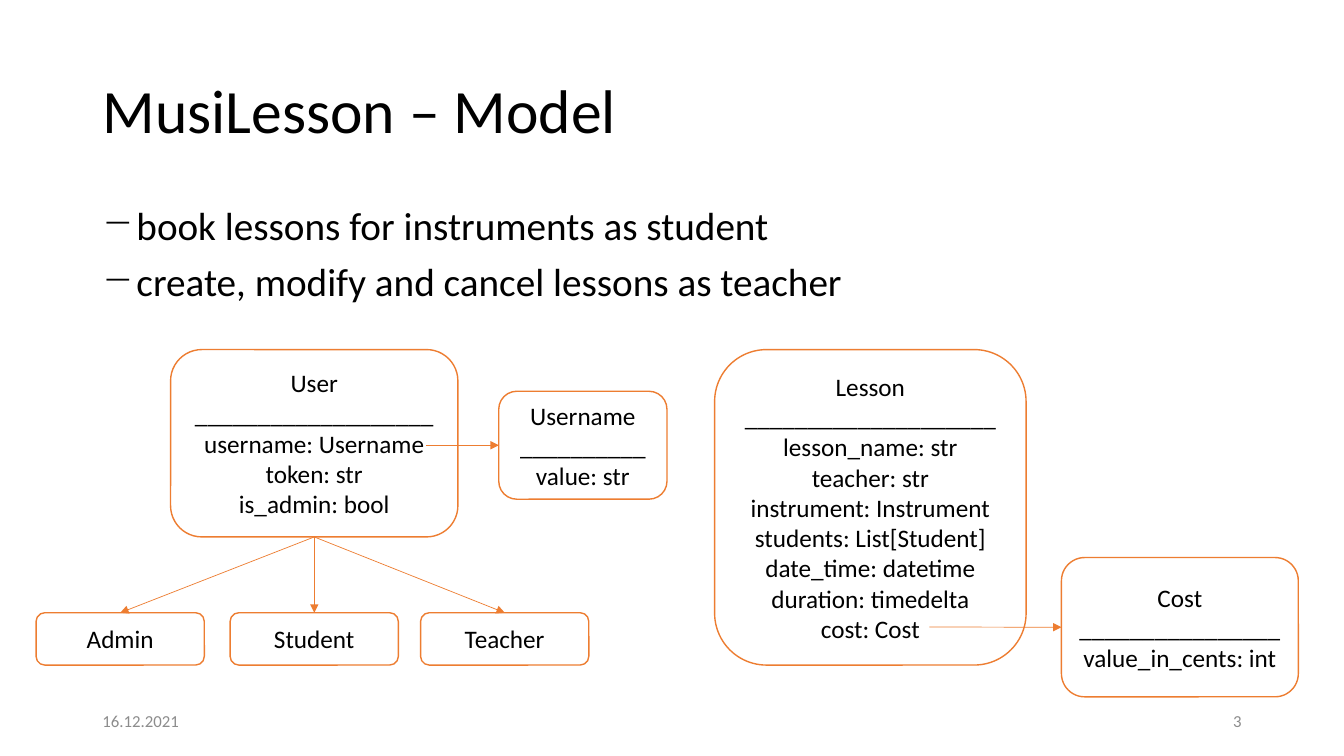
from dataclasses import dataclass

from lxml import etree
from pptx import Presentation
from pptx.dml.color import RGBColor
from pptx.enum.shapes import MSO_CONNECTOR, MSO_SHAPE
from pptx.enum.text import MSO_ANCHOR, PP_ALIGN
from pptx.oxml.ns import qn
from pptx.util import Cm, Pt

ROUND = MSO_SHAPE.ROUNDED_RECTANGLE
LINE = MSO_CONNECTOR.STRAIGHT
MID, TOP = MSO_ANCHOR.MIDDLE, MSO_ANCHOR.TOP
LEFT, MIDDLE, RIGHT = PP_ALIGN.LEFT, PP_ALIGN.CENTER, PP_ALIGN.RIGHT
NORTH, WEST, SOUTH = 0, 1, 2


@dataclass(frozen=True)
class Theme:
    font: str = "Calibri"
    ink: str = "000000"
    paper: str = "FFFFFF"
    edge: str = "ED7D31"
    muted: str = "8C8C8C"
    title: int = 44
    body: int = 28
    label: int = 18
    foot: int = 12


THEME = Theme()


def rgb(code):
    return RGBColor.from_string(code)


def assign(item, values):
    for name, value in values.items():
        setattr(item, name, value)


def write(frame, lines, size, color=THEME.ink, anchor=MID, **form):
    """Fill a text frame, one paragraph a line; form holds paragraph values."""
    assign(frame, {"word_wrap": True, "vertical_anchor": anchor})
    frame.text = "\n".join(lines)
    for para in frame.paragraphs:
        assign(para, form)
        assign(para.font, {"name": THEME.font, "size": Pt(size)})
        para.font.color.rgb = rgb(color)


def add_title(slide, text):
    title = slide.shapes.title
    assign(title, {"left": Cm(2.33), "top": Cm(1.02),
                   "width": Cm(29.21), "height": Cm(3.68)})
    write(title.text_frame, [text], THEME.title,
          alignment=LEFT, line_spacing=0.9)


def add_text(slide, area, lines, size, **form):
    box = slide.shapes.add_textbox(*map(Cm, area))
    write(box.text_frame, lines, size, **form)
    return box


def add_list(slide, area, lines):
    box = add_text(slide, area, lines, THEME.body, anchor=TOP,
                   line_spacing=0.9, space_before=Pt(10))
    for para in box.text_frame.paragraphs:
        props = para._p.get_or_add_pPr()
        props.set("marL", str(Cm(0.86)))
        props.set("indent", str(Cm(-0.86)))
        etree.SubElement(props, qn("a:buChar")).set("char", "−")


def add_card(slide, area, lines):
    card = slide.shapes.add_shape(ROUND, *map(Cm, area))
    card.shadow.inherit = False
    card.fill.solid()
    card.fill.fore_color.rgb = rgb(THEME.paper)
    card.line.color.rgb = rgb(THEME.edge)
    card.line.width = Pt(1)
    write(card.text_frame, lines, THEME.label, alignment=MIDDLE)
    return card


def add_class(slide, area, name, rule, fields):
    """Draw a class card: name, a rule of underscores, then fields."""
    return add_card(slide, area, [name, "_" * rule, *fields])


def add_arrow(slide, start, goal, side):
    """Point at a side of goal, from a card's south side or an (x, y) pair."""
    free = isinstance(start, tuple)
    x, y = map(Cm, start) if free else (0, 0)
    arrow = slide.shapes.add_connector(LINE, x, y, x, y)
    if not free:
        arrow.begin_connect(start, SOUTH)
    arrow.end_connect(goal, side)
    arrow.line.color.rgb = rgb(THEME.edge)
    arrow.line.width = Pt(0.5)
    head = etree.SubElement(arrow.line._get_or_add_ln(), qn("a:tailEnd"))
    head.set("type", "triangle")
    etree.SubElement(arrow._element.spPr, qn("a:effectLst"))


def main():
    deck = Presentation()
    assign(deck, {"slide_width": Cm(33.87), "slide_height": Cm(19.05)})
    slide = deck.slides.add_slide(deck.slide_layouts[5])

    add_title(slide, "MusiLesson – Model")
    add_list(slide, (2.33, 5.08, 29.21, 12.09), [
        "book lessons for instruments as student",
        "create, modify and cancel lessons as teacher",
    ])

    user = add_class(slide, (4.3, 8.81, 7.24, 4.72), "User", 19, [
        "username: Username", "token: str", "is_admin: bool"])
    roles = [add_card(slide, (x, 15.44, 4.24, 1.32), [name])
             for x, name in ((0.91, "Admin"), (5.8, "Student"),
                             (10.6, "Teacher"))]
    add_class(slide, (18.01, 8.81, 7.85, 7.95), "Lesson", 20, [
        "lesson_name: str", "teacher: str", "instrument: Instrument",
        "students: List[Student]", "date_time: datetime",
        "duration: timedelta", "cost: Cost"])
    handle = add_class(slide, (12.57, 9.86, 4.24, 2.72), "Username", 10,
                       ["value: str"])
    cost = add_class(slide, (26.75, 14.05, 5.97, 3.51), "Cost", 16,
                     ["value_in_cents: int"])

    add_arrow(slide, (10.74, 11.22), handle, WEST)
    for role in roles:
        add_arrow(slide, user, role, NORTH)
    add_arrow(slide, (23.42, 15.8), cost, WEST)

    for x, text, side in ((2.33, "16.12.2021", LEFT), (23.92, "3", RIGHT)):
        add_text(slide, (x, 17.65, 7.62, 1.02), [text], THEME.foot,
                 color=THEME.muted, alignment=side)

    deck.save("out.pptx")


if __name__ == "__main__":
    main()
